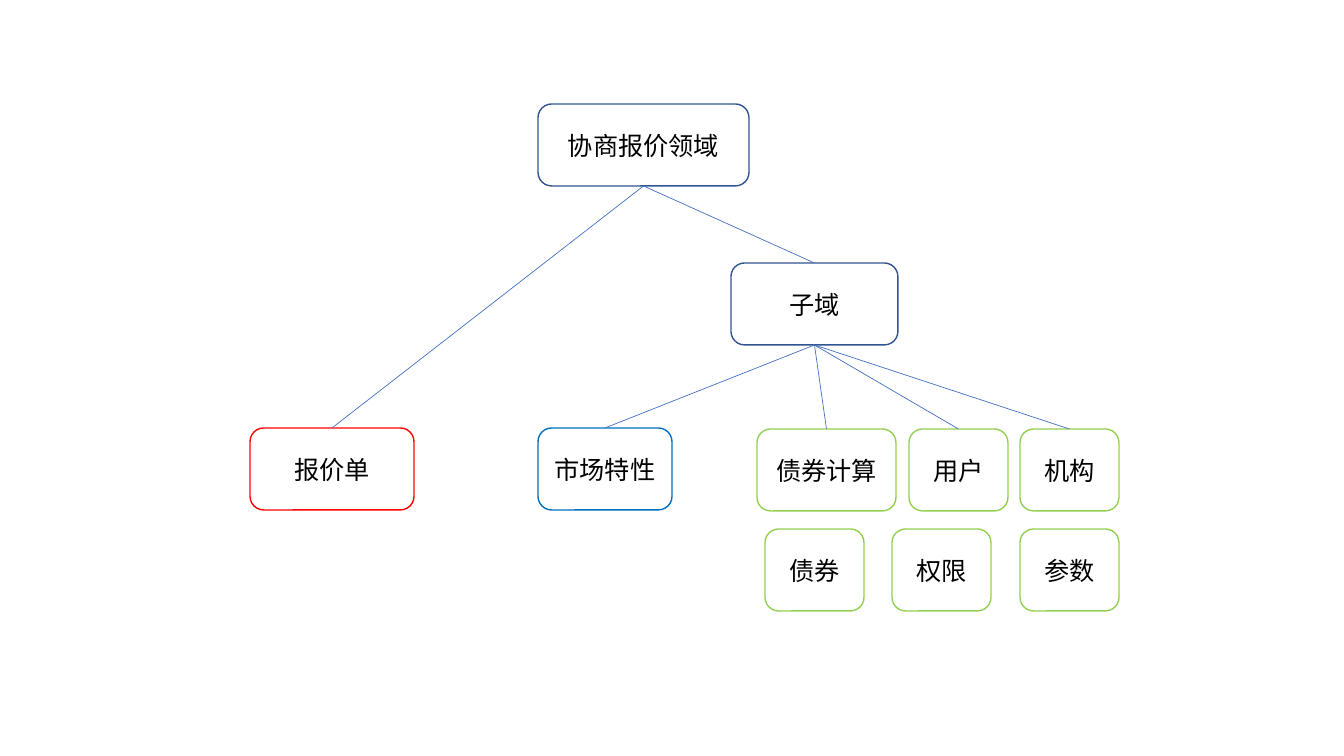
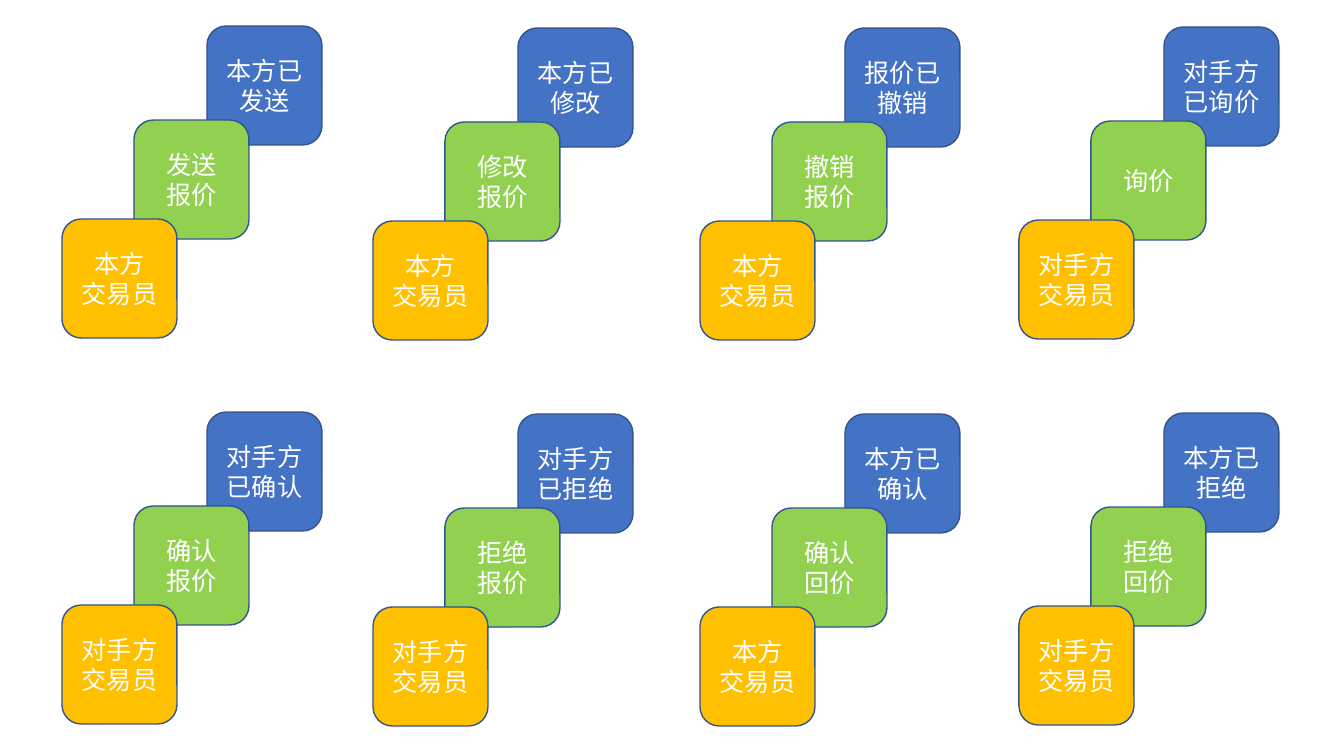
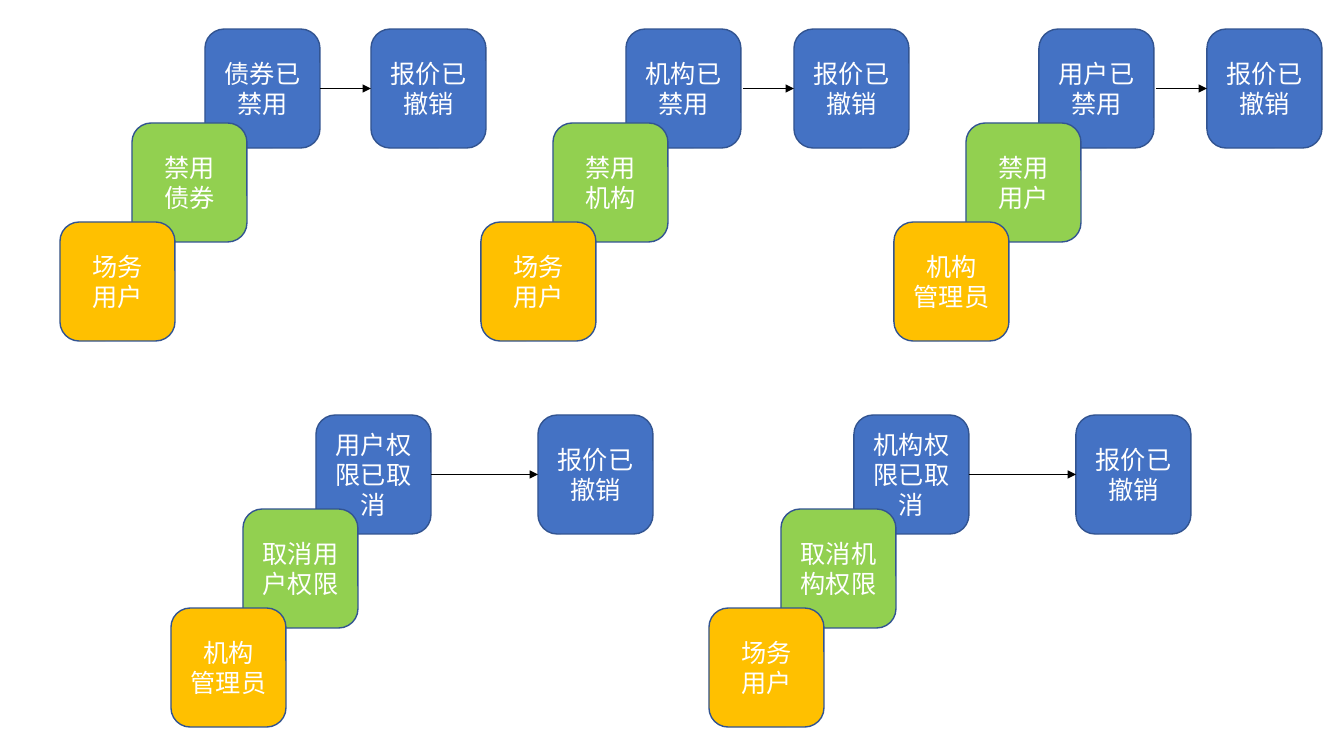
from lxml.etree import SubElement
from pptx import Presentation
from pptx.dml.color import RGBColor
from pptx.enum.shapes import MSO_CONNECTOR as Connector, MSO_SHAPE as Shape
from pptx.enum.text import MSO_ANCHOR as Anchor, PP_ALIGN as Align
from pptx.oxml.ns import qn
from pptx.util import Pt

PIXEL = 914400 / 100.8
SLIDE_SIZE = (1344, 756)
FONT = "Noto Sans CJK SC"
COLORS = {
    "border": "325491", "blue": "4472C4", "green": "92D050", "amber": "FFC000",
    "red": "FF0000", "market": "0070C0", "black": "000000", "white": "FFFFFF",
}
CARD_WIDTH, CARD_HEIGHT = 115, 119
NODE_HEIGHT = 82
ROW_STEP = 386
# Offsets of event, action and actor inside a stack, from back to front
STACK_STEPS = [("blue", 145, 0), ("green", 72, 94), ("amber", 0, 193)]


def emu(pixels):
    return round(pixels * PIXEL)


def color(name):
    return RGBColor.from_string(COLORS[name])


# Shared parts
def write_text(shape, text, *, size=18, ink="white"):
    frame = shape.text_frame
    frame.word_wrap = True
    frame.vertical_anchor = Anchor.MIDDLE
    for index, line in enumerate(text.split("\n")):
        paragraph = frame.add_paragraph() if index else frame.paragraphs[0]
        paragraph.alignment = Align.CENTER
        run = paragraph.add_run()
        run.text = line
        run.font.size = Pt(size)
        run.font.color.rgb = color(ink)
        run.font.name = FONT
        SubElement(run.font._element, qn("a:ea"), typeface=FONT)


def add_box(slide, box, text, *, fill=None, border="border", ink="white"):
    shape = slide.shapes.add_shape(Shape.ROUNDED_RECTANGLE, *map(emu, box))
    shape.shadow.inherit = False
    if fill:
        shape.fill.solid()
        shape.fill.fore_color.rgb = color(fill)
    else:
        shape.fill.background()
    shape.line.color.rgb = color(border)
    shape.line.width = Pt(1)
    write_text(shape, text, ink=ink)
    return shape


def add_line(slide, start, end, *, ink, arrow=False):
    line = slide.shapes.add_connector(Connector.STRAIGHT, *map(emu, start + end))
    line.line.color.rgb = color(ink)
    line.line.width = Pt(0.5)
    if arrow:
        SubElement(line.line._get_or_add_ln(), qn("a:tailEnd"), type="triangle")
    SubElement(line._element.spPr, qn("a:effectLst"))
    return line


# Domain tree: named boxes joined from parent bottom to child top
def domain_tree(slide, nodes, branches):
    shapes = {}
    for text, left, top, width, border in nodes:
        shapes[text] = add_box(slide, (left, top, width, NODE_HEIGHT), text,
                               border=border, ink="black")
    for parent, children in branches.items():
        for child in children:
            line = add_line(slide, (0, 0), (0, 0), ink="blue")
            line.begin_connect(shapes[parent], 2)
            line.end_connect(shapes[child], 0)


# Stack of overlapping cards: event, action, actor
def card_stack(slide, left, top, texts):
    for text, (fill, dx, dy) in zip(texts, STACK_STEPS):
        add_box(slide, (left + dx, top + dy, CARD_WIDTH, CARD_HEIGHT), text, fill=fill)


# Stack whose event leads to a withdrawn quote
def withdrawal_flow(slide, left, top, result_offset, arrow_length, texts):
    card_stack(slide, left, top, texts)
    result_left, middle = left + result_offset, top + CARD_HEIGHT / 2
    add_box(slide, (result_left, top, CARD_WIDTH, CARD_HEIGHT), "报价已撤销", fill="blue")
    add_line(slide, (result_left - arrow_length, middle), (result_left, middle),
             ink="black", arrow=True)


presentation = Presentation()
presentation.slide_width, presentation.slide_height = map(emu, SLIDE_SIZE)


def new_slide():
    return presentation.slides.add_slide(presentation.slide_layouts[6])


# Slide 1: domain and its subdomains
domain_tree(
    new_slide(),
    [
        ("协商报价领域", 538, 104, 211, "border"),
        ("子域", 731, 263, 167, "border"),
        ("报价单", 250, 428, 164, "red"),
        ("市场特性", 538, 428, 134, "market"),
        ("债券计算", 757, 429, 139, "green"),
        ("用户", 909, 429, 99, "green"),
        ("机构", 1020, 429, 99, "green"),
        ("债券", 765, 529, 99, "green"),
        ("权限", 892, 529, 99, "green"),
        ("参数", 1020, 529, 99, "green"),
    ],
    {
        "协商报价领域": ["报价单", "子域"],
        "子域": ["市场特性", "债券计算", "用户", "机构"],
    },
)

# Slide 2: quoting events in a grid of two rows
quote_slide = new_slide()
quote_columns = [(62, 26), (373, 28), (700, 28), (1019, 27)]
quote_rows = [
    [
        ("本方已发送", "发送\n报价", "本方\n交易员"),
        ("本方已修改", "修改\n报价", "本方\n交易员"),
        ("报价已撤销", "撤销\n报价", "本方\n交易员"),
        ("对手方已询价", "询价", "对手方交易员"),
    ],
    [
        ("对手方已确认", "确认\n报价", "对手方\n交易员"),
        ("对手方已拒绝", "拒绝\n报价", "对手方\n交易员"),
        ("本方已确认", "确认\n回价", "本方\n交易员"),
        ("本方已拒绝", "拒绝\n回价", "对手方交易员"),
    ],
]
for row, stacks in enumerate(quote_rows):
    for (left, top), texts in zip(quote_columns, stacks):
        card_stack(quote_slide, left, top + row * ROW_STEP, texts)

# Slide 3: outside events that withdraw a quote
withdrawal_slide = new_slide()
withdrawal_rows = [
    (51, [
        (60, 311, ("债券已禁用", "禁用\n债券", "场务\n用户")),
        (481, 313, ("机构已禁用", "禁用\n机构", "场务\n用户")),
        (894, 313, ("用户已禁用", "禁用\n用户", "机构\n管理员")),
    ]),
    (107, [
        (171, 367, ("用户权限已取消", "取消用户权限", "机构\n管理员")),
        (709, 367, ("机构权限已取消", "取消机构权限", "场务\n用户")),
    ]),
]
for row, (arrow_length, flows) in enumerate(withdrawal_rows):
    for left, result_offset, texts in flows:
        withdrawal_flow(withdrawal_slide, left, 29 + row * ROW_STEP,
                        result_offset, arrow_length, texts)

presentation.save("out.pptx")
